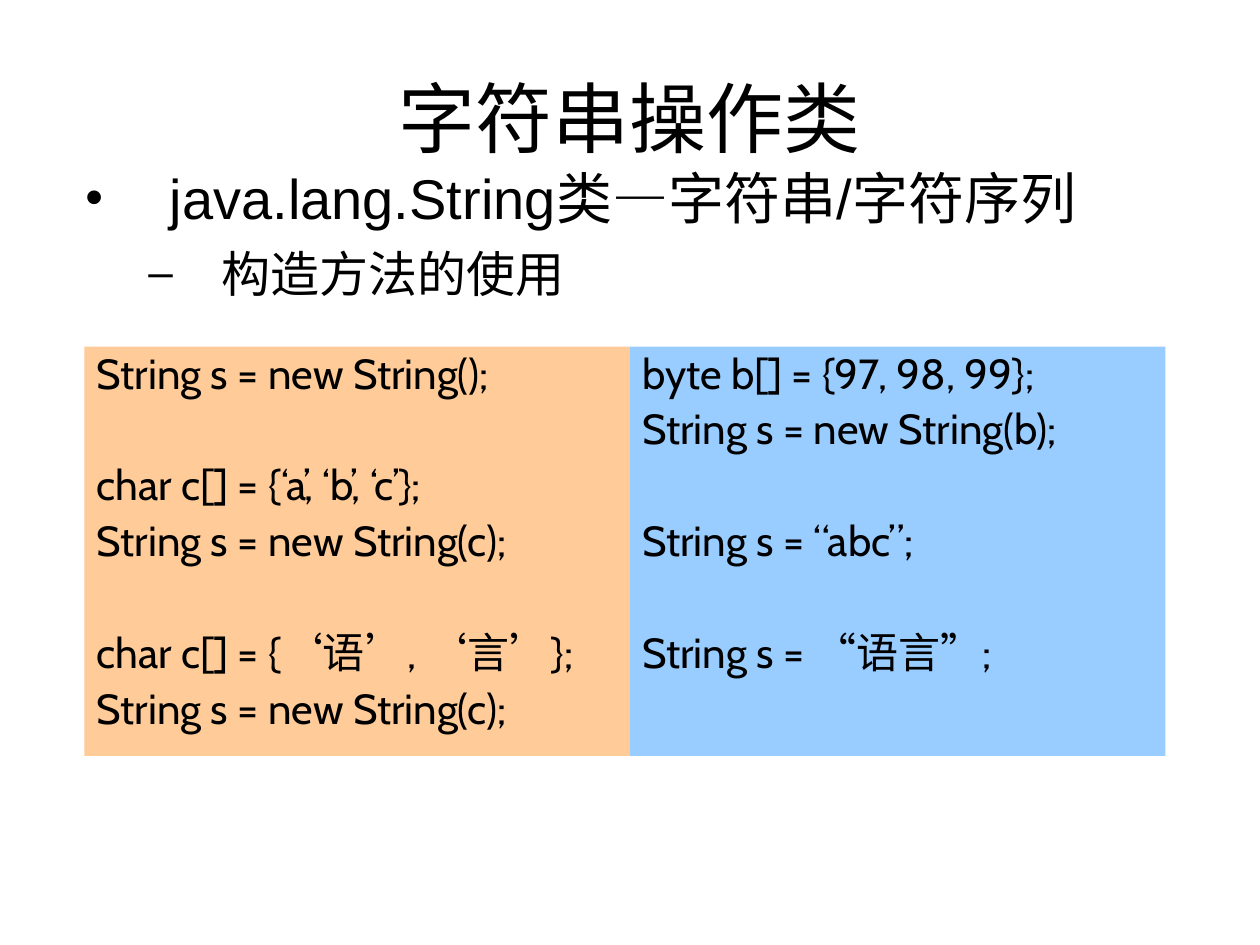
from lxml.etree import SubElement
from pptx import Presentation
from pptx.dml.color import RGBColor
from pptx.enum.shapes import MSO_SHAPE
from pptx.enum.text import MSO_ANCHOR, PP_ALIGN
from pptx.oxml.ns import qn
from pptx.util import Inches, Pt

COLORS = {"text": "000000", "array": "FFCC99", "bytes": "99CCFF"}
CODE_TOP, CODE_HEIGHT = 2.75, 3.25
LINE_GAP, GROUP_GAP = 6, 38


class StringSlide:
    """Holds the style and the slide that its methods add elements to."""

    def __init__(self, deck):
        self.slide = deck.slides.add_slide(deck.slide_layouts[5])

    def style(self, paragraph, size, font="Arial"):
        for run in paragraph.runs:
            run.font.name = font
            run.font.size = Pt(size)
            run.font.color.rgb = RGBColor.from_string(COLORS["text"])

    def indent(self, paragraph, left, hanging):
        properties = paragraph._p.get_or_add_pPr()
        properties.set("marL", str(Inches(left)))
        properties.set("indent", str(-Inches(hanging)))
        return properties

    def title(self, text, left, top, width, height):
        heading = self.slide.shapes.title
        heading.left, heading.top = Inches(left), Inches(top)
        heading.width, heading.height = Inches(width), Inches(height)
        frame = heading.text_frame
        frame.text = text
        frame.vertical_anchor = MSO_ANCHOR.MIDDLE
        frame.paragraphs[0].alignment = PP_ALIGN.CENTER
        self.style(frame.paragraphs[0], 44)

    def outline(self, points, left, top, width, height):
        box = self.slide.shapes.add_textbox(
            Inches(left), Inches(top), Inches(width), Inches(height))
        frame = box.text_frame
        frame.word_wrap = True
        frame.text = "\n".join(point[0] for point in points)
        for paragraph, point in zip(frame.paragraphs, points):
            _, level, size, mark, margin, hanging, before = point
            paragraph.level = level
            properties = self.indent(paragraph, margin, hanging)
            SubElement(properties, qn("a:buSzPct"), val="90000")
            SubElement(properties, qn("a:buFont"), typeface="Arial")
            SubElement(properties, qn("a:buChar"), char=mark)
            paragraph.space_before = Pt(before)
            self.style(paragraph, size)

    def code(self, groups, color, left, width):
        panel = self.slide.shapes.add_shape(
            MSO_SHAPE.RECTANGLE, Inches(left), Inches(CODE_TOP),
            Inches(width), Inches(CODE_HEIGHT))
        panel.shadow.inherit = False
        panel.fill.solid()
        panel.fill.fore_color.rgb = RGBColor.from_string(COLORS[color])
        panel.line.fill.background()
        frame = panel.text_frame
        frame.word_wrap = True
        frame.vertical_anchor = MSO_ANCHOR.TOP
        frame.text = "\n".join(line for group in groups for line in group)
        gaps = [LINE_GAP if row else GROUP_GAP
                for group in groups for row in range(len(group))]
        gaps[0] = 0
        for paragraph, gap in zip(frame.paragraphs, gaps):
            self.indent(paragraph, 0.38, 0.38)
            paragraph.alignment = PP_ALIGN.LEFT
            paragraph.line_spacing = 0.9
            paragraph.space_before = Pt(gap)
            self.style(paragraph, 24, "Cabin")


def main():
    deck = Presentation()
    deck.slide_width, deck.slide_height = Inches(10), Inches(7.5)
    page = StringSlide(deck)
    page.title("字符串操作类", 0.5, 0.3, 9, 1.25)
    page.outline([
        ("java.lang.String类—字符串/字符序列", 0, 32, "•", 0.67, 0.67, 0),
        ("构造方法的使用", 1, 28, "–", 1.08, 0.58, 7),
    ], 0.58, 1.25, 8.92, 1.25)
    page.code([
        ["String s = new String();"],
        ["char c[] = {‘a’, ‘b’, ‘c’};", "String s = new String(c);"],
        ["char c[] = {‘语’, ‘言’};", "String s = new String(c);"],
    ], "array", 0.67, 4.33)
    page.code([
        ["byte b[] = {97, 98, 99};", "String s = new String(b);"],
        ["String s = “abc”;"],
        ["String s = “语言”;"],
    ], "bytes", 5, 4.25)
    deck.save("out.pptx")


if __name__ == "__main__":
    main()
